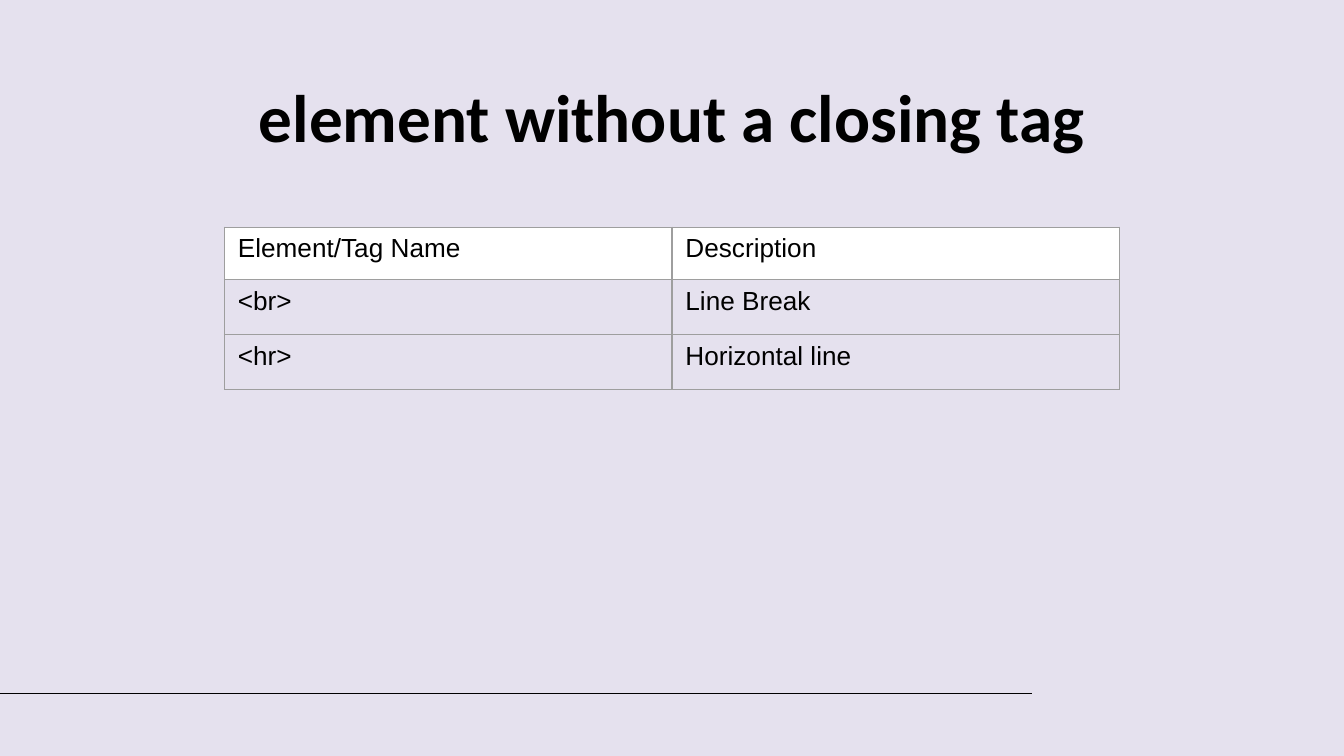
from lxml import etree
from pptx import Presentation
from pptx.dml.color import RGBColor
from pptx.enum.shapes import MSO_CONNECTOR
from pptx.enum.text import MSO_ANCHOR, PP_ALIGN
from pptx.oxml.ns import qn
from pptx.util import Inches, Pt

STRAIGHT = MSO_CONNECTOR.STRAIGHT
MIDDLE = MSO_ANCHOR.MIDDLE
CENTER = PP_ALIGN.CENTER

COLORS = {"background": "E5E1EE", "text": "000000", "header": "FFFFFF", "border": "9E9E9E"}
ROWS = [
    ("Element/Tag Name", "Description"),
    ("<br>", "Line Break"),
    ("<hr>", "Horizontal line"),
]
ROW_HEIGHTS = [0.39, 0.41, 0.41]
COLUMN_WIDTH = 3.33


def add_run(paragraph, text, font_name, size, bold=False):
    run = paragraph.add_run()
    run.text = text
    run.font.name = font_name
    run.font.size = Pt(size)
    run.font.bold = bold
    run.font.color.rgb = RGBColor.from_string(COLORS["text"])


def add_borders(cell):
    properties = cell._tc.get_or_add_tcPr()
    for position, side in enumerate(("a:lnL", "a:lnR", "a:lnT", "a:lnB")):
        border = etree.Element(qn(side), w=str(Pt(0.75)))
        fill = etree.SubElement(border, qn("a:solidFill"))
        etree.SubElement(fill, qn("a:srgbClr"), val=COLORS["border"])
        properties.insert(position, border)


presentation = Presentation()
presentation.slide_width = Inches(10)
presentation.slide_height = presentation.slide_width * 9 // 16
slide = presentation.slides.add_slide(presentation.slide_layouts[5])
slide.background.fill.solid()
slide.background.fill.fore_color.rgb = RGBColor.from_string(COLORS["background"])

footer_line = slide.shapes.add_connector(
    STRAIGHT, Inches(0), Inches(5.16), Inches(7.68), Inches(5.16)
)
footer_line.line.color.rgb = RGBColor.from_string(COLORS["text"])
footer_line.line.width = Pt(0.75)
etree.SubElement(footer_line._element.spPr, qn("a:effectLst"))

title = slide.shapes.title
title.left, title.top = Inches(1.03), Inches(0.26)
title.width, title.height = Inches(7.94), Inches(1.2)
title_frame = title.text_frame
title_frame.word_wrap = True
title_frame.vertical_anchor = MIDDLE
title_frame.margin_left = title_frame.margin_right = Inches(0.1)
title_frame.margin_top = title_frame.margin_bottom = Inches(0.1)
title_paragraph = title_frame.paragraphs[0]
title_paragraph.alignment = CENTER
add_run(title_paragraph, "element without a closing tag", "Calibri", 36, bold=True)

table = slide.shapes.add_table(
    len(ROWS), 2, Inches(1.67), Inches(1.69), Inches(2 * COLUMN_WIDTH), Inches(sum(ROW_HEIGHTS))
).table
table.first_row = False
table.horz_banding = False
for column in table.columns:
    column.width = Inches(COLUMN_WIDTH)

for row_index, (texts, height) in enumerate(zip(ROWS, ROW_HEIGHTS)):
    table.rows[row_index].height = Inches(height)
    for column_index, text in enumerate(texts):
        cell = table.cell(row_index, column_index)
        if row_index == 0:
            cell.fill.solid()
            cell.fill.fore_color.rgb = RGBColor.from_string(COLORS["header"])
        else:
            cell.fill.background()
        add_borders(cell)
        add_run(cell.text_frame.paragraphs[0], text, "Arial", 14)

presentation.save("out.pptx")
